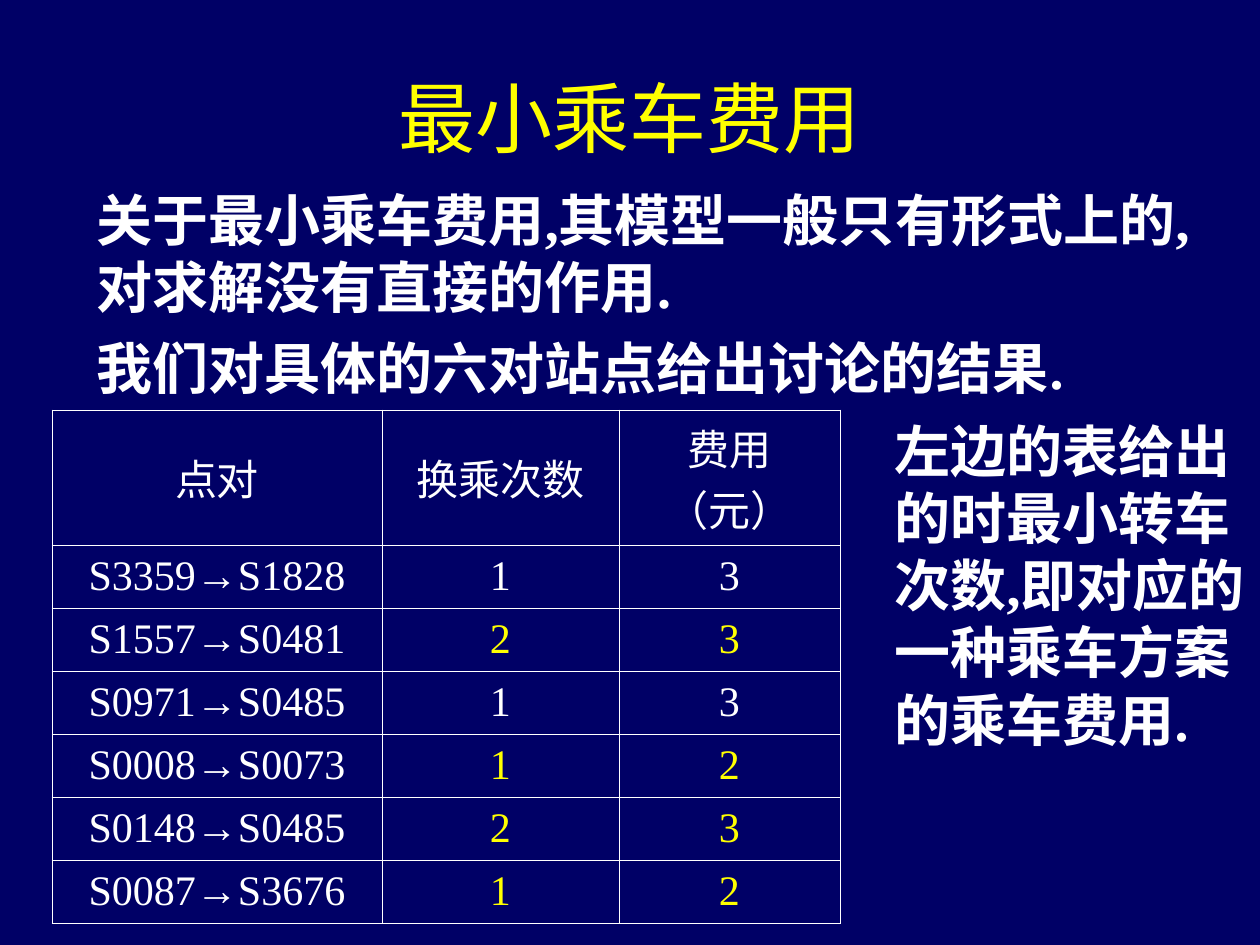
from lxml import etree
from pptx import Presentation
from pptx.dml.color import RGBColor
from pptx.enum import text
from pptx.oxml import ns
from pptx import util as u

SCALE = 914400 / 126
HUES = {"navy": "000066", "white": "FFFFFF", "gold": "FFFF00"}
SERIF = "Times New Roman"
HEAD = ("点对", "换乘次数", "费用（元）")
FARES = [
    ("S3359→S1828", "1", "3", "white"),
    ("S1557→S0481", "2", "3", "gold"),
    ("S0971→S0485", "1", "3", "white"),
    ("S0008→S0073", "1", "2", "gold"),
    ("S0148→S0485", "2", "3", "gold"),
    ("S0087→S3676", "1", "2", "gold"),
]
INTRO = (
    "关于最小乘车费用,其模型一般只有形式上的,对求解没有直接的作用.",
    "我们对具体的六对站点给出讨论的结果.",
)
NOTE = ("左边的表给出的时最小转车次数,即对应的一种乘车方案的乘车费用.",)


def px(n):
    """Turn pixels into EMU."""
    return u.Emu(round(n * SCALE))


def style(para, size, hue, face=SERIF, bold=False):
    """Set the font of a paragraph."""
    font = para.font
    font.size, font.name, font.bold = u.Pt(size), face, bold
    font.color.rgb = RGBColor.from_string(HUES[hue])


def add_title(slide, words, *box):
    """Place and format the title."""
    title = slide.shapes.title
    title.left, title.top, title.width, title.height = map(px, box)
    frame = title.text_frame
    frame.text = words
    frame.vertical_anchor = text.MSO_ANCHOR.MIDDLE
    para = frame.paragraphs[0]
    para.alignment = text.PP_ALIGN.CENTER
    style(para, 44, "gold", "Arial")


def add_prose(slide, lines, *box):
    """Add a box of bold paragraphs."""
    frame = slide.shapes.add_textbox(*map(px, box)).text_frame
    frame.word_wrap = True
    frame.text = "\n".join(lines)
    for para in frame.paragraphs:
        para.space_before = u.Pt(8)
        style(para, 32, "white", bold=True)


def add_edges(cell):
    """Draw thin white borders round a cell."""
    props = cell._tc.get_or_add_tcPr()
    for i, side in enumerate(("lnL", "lnR", "lnT", "lnB")):
        line = etree.Element(ns.qn(f"a:{side}"), w=str(u.Pt(0.45)))
        fill = etree.SubElement(line, ns.qn("a:solidFill"))
        etree.SubElement(fill, ns.qn("a:srgbClr"), val=HUES["white"])
        props.insert(i, line)


def fill_cell(cell, words, hue):
    """Write and format one table cell."""
    cell.text = words
    cell.vertical_anchor = text.MSO_ANCHOR.MIDDLE
    cell.fill.background()
    para = cell.text_frame.paragraphs[0]
    para.alignment = text.PP_ALIGN.CENTER
    style(para, 24, hue)
    add_edges(cell)


def add_fares(slide, left, top, widths, heights):
    """Add the table of transfers and fares."""
    size = px(sum(widths)), px(sum(heights))
    table = slide.shapes.add_table(
        len(heights), len(widths), px(left), px(top), *size
    ).table
    table.first_row = table.horz_banding = False
    for col, width in zip(table.columns, widths):
        col.width = px(width)
    for row, height in zip(table.rows, heights):
        row.height = px(height)
    for r, (*words, hue) in enumerate([(*HEAD, "white"), *FARES]):
        for c, word in enumerate(words):
            fill_cell(table.cell(r, c), word, hue if c else "white")


def main():
    """Build and save the slide."""
    deck = Presentation()
    deck.slide_width, deck.slide_height = px(1260), px(945)
    slide = deck.slides.add_slide(deck.slide_layouts[5])
    back = slide.background.fill
    back.solid()
    back.fore_color.rgb = RGBColor.from_string(HUES["navy"])
    add_title(slide, "最小乘车费用", 63, 38, 1134, 158)
    add_prose(slide, NOTE, 882, 410, 378, 441)
    add_fares(slide, 52, 410, (330, 237, 221), [135] + [59] * len(FARES))
    add_prose(slide, INTRO, 84, 179, 1134, 231)
    deck.save("out.pptx")


if __name__ == "__main__":
    main()
